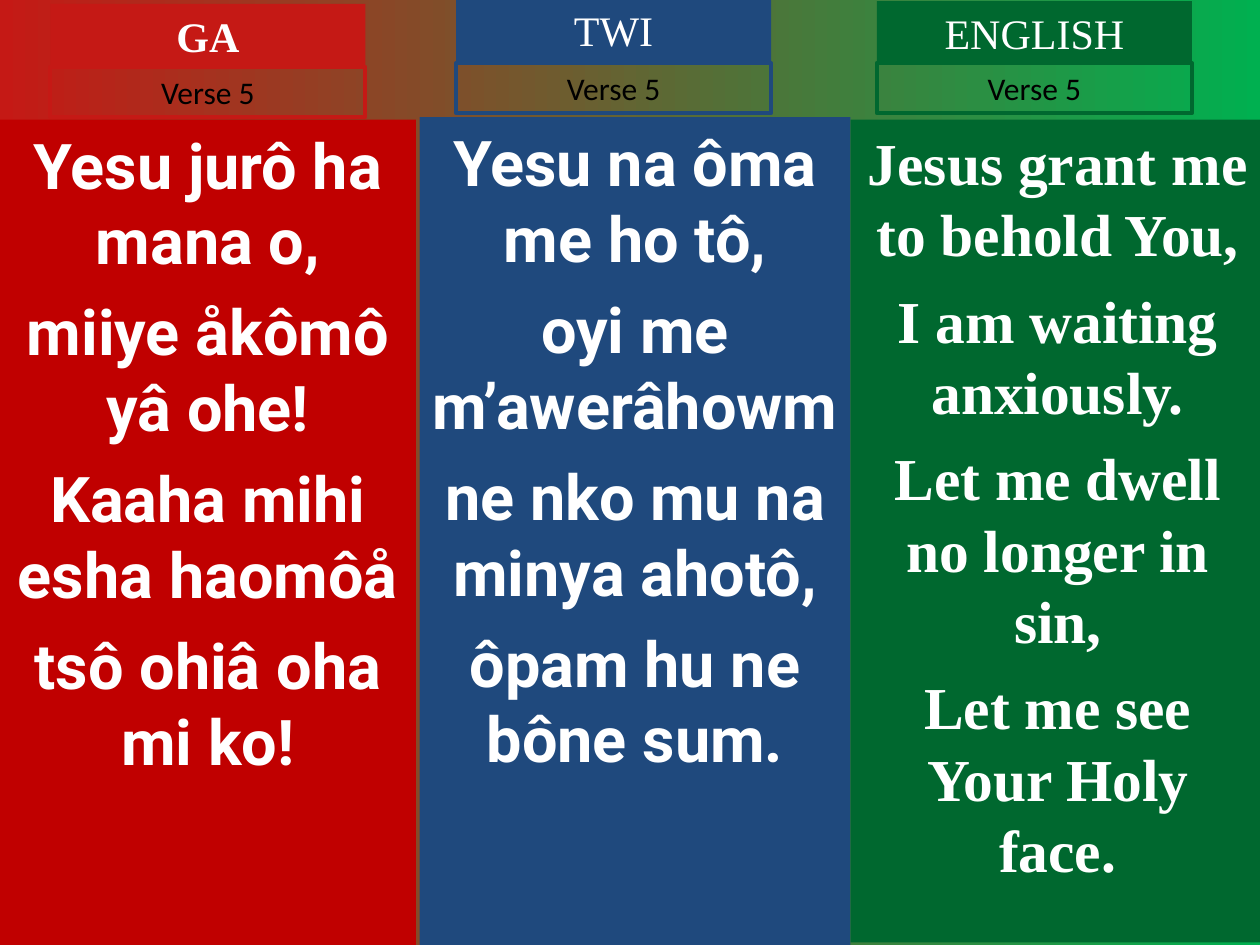
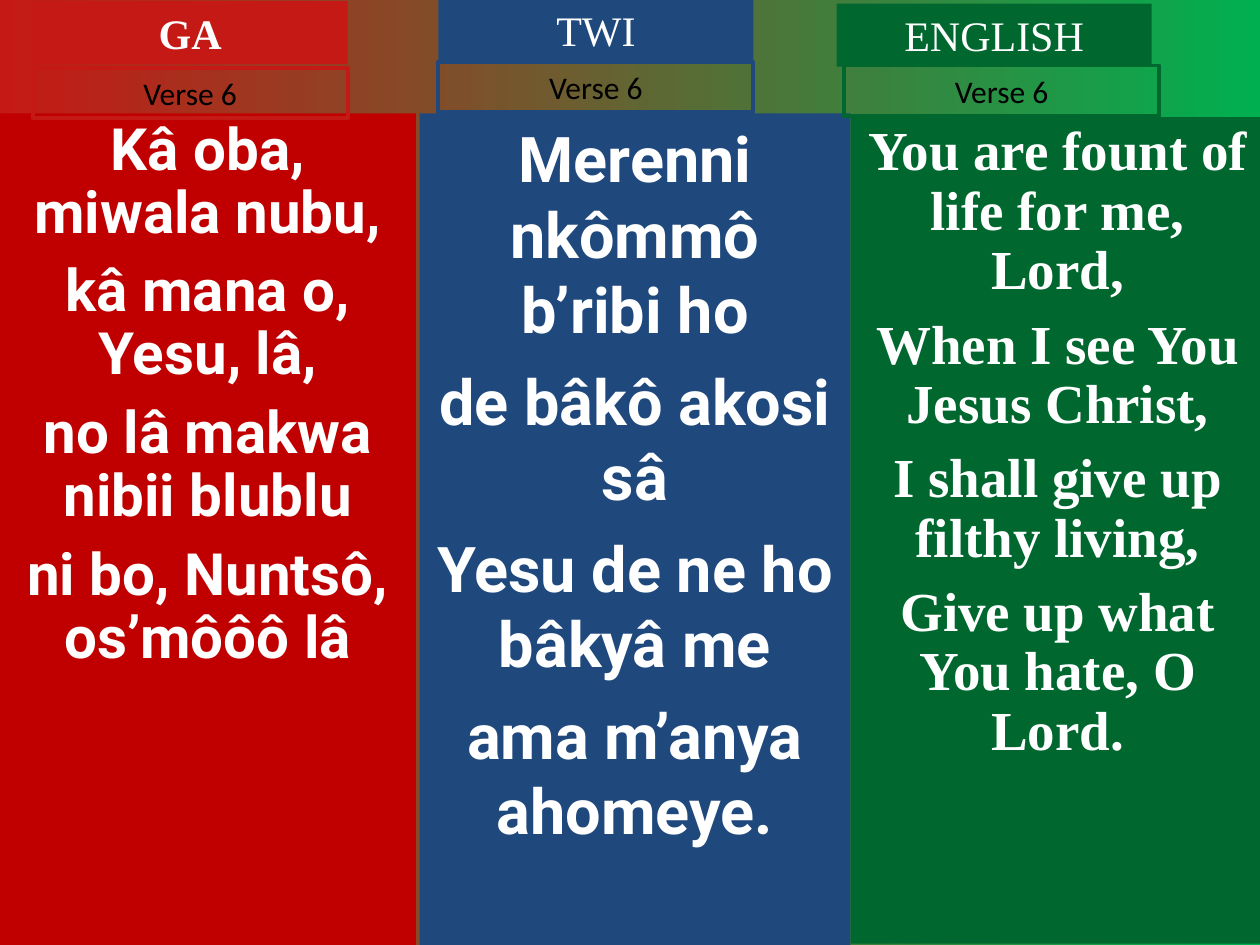
import lxml.etree
import pptx
import pptx.dml.color
import pptx.enum.shapes
import pptx.enum.text
import pptx.oxml.ns
import pptx.util

PX = 9144
WHITE, BLACK = "FFFFFF", "000000"
SERIF, SANS, ROBOT = "Times New Roman", "Calibri", "Roboto"
TABSIZE, TAGSIZE = (250, 50), (250, 40)

TONGUES = [
    {"name": "GA", "ink": "C51915", "fill": "C00000", "x": 0, "w": 330, "font": ROBOT, "bold": True},
    {"name": "TWI", "ink": "1F497D", "fill": "1F497D", "x": 333, "w": 342, "font": ROBOT, "bold": False},
    {"name": "ENGLISH", "ink": "00682F", "fill": "00682F", "x": 675, "w": 329, "font": SERIF, "bold": False},
]

VERSES = [
    {"tag": "Verse 5", "parts": [
        {"y": 95, "h": 655, "tab": (40, -92), "note": (40, -42), "size": 36, "gap": 9, "lead": 1,
         "lines": ["Yesu jurô ha mana o,", "miiye åkômô yâ ohe!",
                   "Kaaha mihi esha haomôå", "tsô ohiâ oha mi ko!"]},
        {"y": 93, "h": 657, "tab": (29, -94), "note": (29, -43), "size": 36, "gap": 9, "lead": 1,
         "lines": ["Yesu na ôma me ho tô,", "oyi me m’awerâhowm",
                   "ne nko mu na minya ahotô,", "ôpam hu ne bône sum."]},
        {"y": 95, "h": 653, "tab": (21, -94), "note": (21, -45), "size": 34, "gap": 8.5, "lead": 1,
         "lines": ["Jesus grant me to behold You,", "I am waiting anxiously.",
                   "Let me dwell no longer in sin,", "Let me see Your Holy face."]},
    ]},
    {"tag": "Verse 6", "parts": [
        {"y": 90, "h": 660, "tab": (26, -89), "note": (26, -36), "size": 33.3, "gap": 9, "lead": 0.9,
         "lines": ["Kâ oba, miwala nubu,", "kâ mana o, Yesu, lâ,",
                   "no lâ makwa nibii blublu", "ni bo, Nuntsô, os’môôô lâ"]},
        {"y": 90, "h": 660, "tab": (15, -91), "note": (15, -41), "size": 36, "gap": 9, "lead": 1,
         "lines": ["Merenni nkômmô b’ribi ho", "de bâkô akosi sâ",
                   "Yesu de ne ho bâkyâ me", "ama m’anya ahomeye."]},
        {"y": 93, "h": 656, "tab": (-11, -90), "note": (-5, -41), "size": 31.4, "gap": 8.5, "lead": 0.9,
         "lines": ["You are fount of life for me, Lord,", "When I see You Jesus Christ,",
                   "I shall give up filthy living,", "Give up what You hate, O Lord."]},
    ]},
]


def tint(code):
    """Turn a hex string into a colour."""
    return pptx.dml.color.RGBColor.from_string(code)


def assign(thing, values):
    """Set each attribute of a thing from a dict."""
    for key, value in values.items():
        setattr(thing, key, value)


def place(shape, box):
    """Move a shape to a box given in px."""
    assign(shape, dict(zip(("left", "top", "width", "height"), (n * PX for n in box))))


def block(slide, box):
    """Add a plain rectangle in a box."""
    shape = slide.shapes.add_shape(
        pptx.enum.shapes.MSO_SHAPE.RECTANGLE, *(n * PX for n in box))
    shape.shadow.inherit = False
    return shape


def paint(shape, fill=None, line=None):
    """Give a shape its fill and outline."""
    if fill:
        shape.fill.solid()
        shape.fill.fore_color.rgb = tint(fill)
    else:
        shape.fill.background()
    if line:
        shape.line.color.rgb = tint(line)
        shape.line.width = pptx.util.Pt(2.25)
    else:
        shape.line.fill.background()


def write(shape, lines, look, ink, gap=0, lead=1):
    """Fill a shape with centred, unbulleted paragraphs."""
    frame = shape.text_frame
    side, edge = 10 * PX, 5 * PX
    assign(frame, {
        "word_wrap": True, "auto_size": pptx.enum.text.MSO_AUTO_SIZE.NONE,
        "vertical_anchor": pptx.enum.text.MSO_ANCHOR.TOP,
        "margin_left": side, "margin_right": side, "margin_top": edge, "margin_bottom": edge})
    for rank, line in enumerate(lines):
        para = frame.add_paragraph() if rank else frame.paragraphs[0]
        props = para._p.get_or_add_pPr()
        props.set("marL", "0")
        props.set("indent", "0")
        lxml.etree.SubElement(props, pptx.oxml.ns.qn("a:buNone"))
        assign(para, {
            "alignment": pptx.enum.text.PP_ALIGN.CENTER, "line_spacing": float(lead),
            "space_before": pptx.util.Pt(gap if rank else 0), "space_after": pptx.util.Pt(0)})
        run = para.add_run()
        run.text = line
        assign(run.font, look)
        run.font.color.rgb = tint(ink)


def face(name, size, bold):
    """Collect the font values of a run."""
    return {"name": name, "size": pptx.util.Pt(size), "bold": bold}


def panel(shape, box, tongue, part):
    """Lay out the coloured panel with the lyrics."""
    place(shape, box)
    paint(shape, tongue["fill"])
    write(shape, part["lines"], face(tongue["font"], part["size"], True),
          WHITE, part["gap"], part["lead"])


def crown(slide, title, box, tongue, part, tag):
    """Lay out the language tab and verse tag above a panel box."""
    spot, note = ((box[0] + dx, box[1] + dy) for dx, dy in (part["tab"], part["note"]))
    head = title or block(slide, spot + TABSIZE)
    place(head, spot + TABSIZE)
    paint(head, tongue["ink"])
    write(head, [tongue["name"]], face(SERIF, 24, tongue["bold"]), WHITE)
    label = block(slide, note + TAGSIZE)
    paint(label, line=tongue["ink"])
    write(label, [tag], face(SANS, 18, False), BLACK)


def verse(deck, data):
    """Add a slide with one verse in three languages."""
    slide = deck.slides.add_slide(deck.slide_layouts.get_by_name("Comparison"))
    title, *bodies = slide.placeholders
    spare = bodies.pop()
    spare.element.getparent().remove(spare.element)
    for tongue, part, body in zip(TONGUES, data["parts"], bodies):
        box = (tongue["x"], part["y"], tongue["w"], part["h"])
        panel(body, box, tongue, part)
        crown(slide, title, box, tongue, part, data["tag"])
        title = None


def main():
    """Build and save the deck."""
    deck = pptx.Presentation()
    assign(deck, {"slide_width": 1000 * PX, "slide_height": 750 * PX})
    back = deck.slide_master.background.fill
    back.gradient()
    back.gradient_angle = 0
    for stop, code in zip(back.gradient_stops, ("C51915", "00B050")):
        stop.color.rgb = tint(code)
    for data in VERSES:
        verse(deck, data)
    deck.save("out.pptx")


if __name__ == "__main__":
    main()
